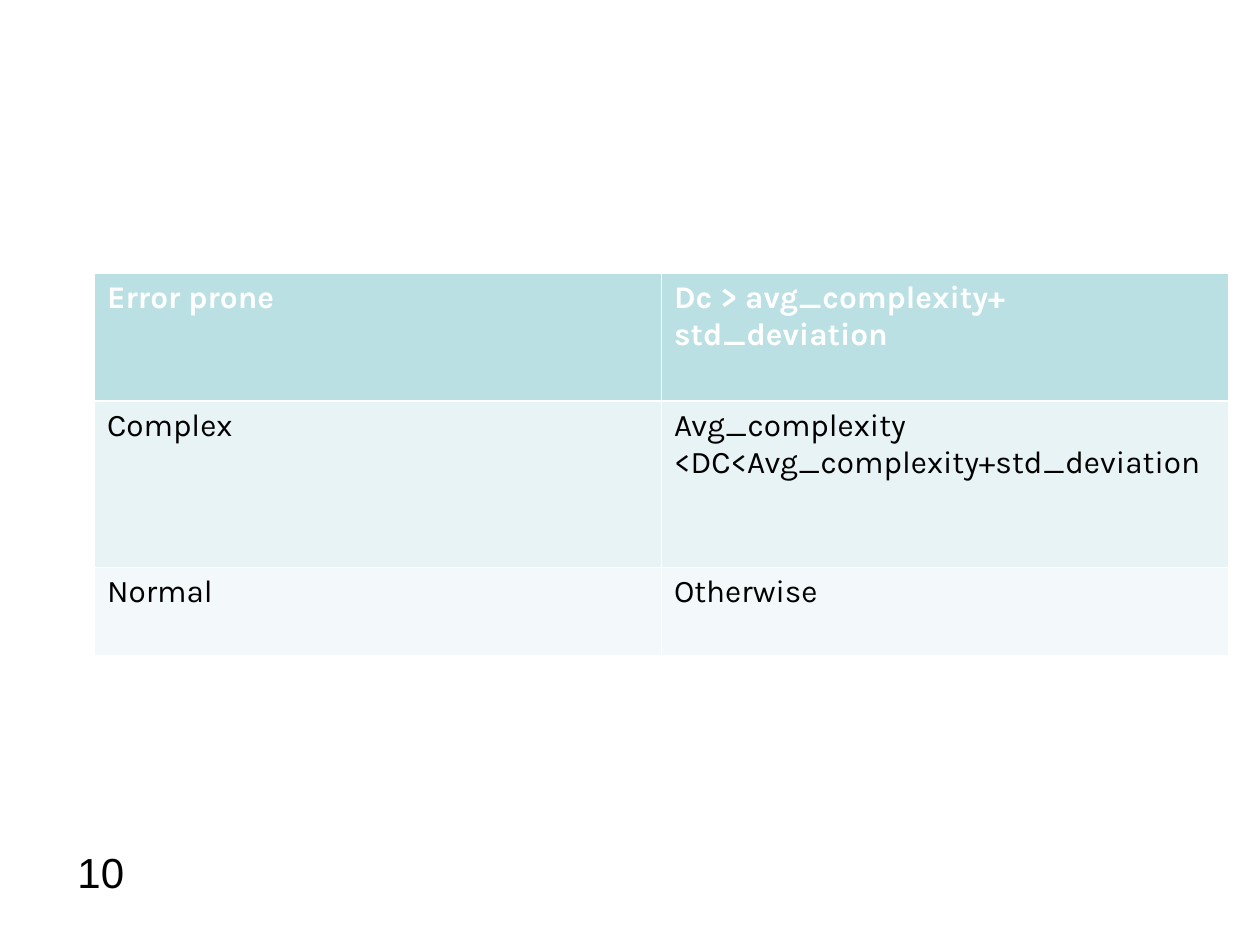
from dataclasses import dataclass

from lxml.etree import SubElement
from pptx import Presentation
from pptx.dml.color import RGBColor as Color
from pptx.enum.text import PP_ALIGN as Align
from pptx.oxml.ns import qn
from pptx.util import Pt


@dataclass(frozen=True)
class Theme:
    heading_fill: str = "BBE0E3"
    complex_fill: str = "E7F3F4"
    normal_fill: str = "F3F9FA"
    light: str = "FFFFFF"
    dark: str = "000000"
    table_font: str = "Karla"
    number_font: str = "Arial"
    table_size: float = 18
    number_size: float = 24
    thin_line: float = 0.45
    thick_line: float = 1.47


@dataclass(frozen=True)
class Category:
    name: str
    rule: str
    height: float
    fill: str
    color: str
    bold: bool = False
    top_line: float = Theme.thin_line
    bottom_line: float = Theme.thin_line


THEME = Theme()
COLUMN_WIDTH = 324
CATEGORIES = [
    Category("Error prone", "Dc > avg_complexity+ std_deviation", 72.7,
             THEME.heading_fill, THEME.light, bold=True,
             bottom_line=THEME.thick_line),
    Category("Complex", "Avg_complexity <DC<Avg_complexity+std_deviation", 95,
             THEME.complex_fill, THEME.dark, top_line=THEME.thick_line),
    Category("Normal", "Otherwise", 50.4, THEME.normal_fill, THEME.dark),
]


def write_text(frame, text: str, *, font: str, size: float, color: str,
               bold: bool = False, align=Align.LEFT) -> None:
    frame.word_wrap = True
    para = frame.paragraphs[0]
    para.alignment = align
    span = para.add_run()
    span.text = text
    span.font.name = font
    span.font.size = Pt(size)
    span.font.bold = bold
    span.font.color.rgb = Color.from_string(color)


def add_borders(cell, top: float, bottom: float) -> None:
    """Draw the cell's borders; call before filling, as lines precede the fill."""
    properties = cell._tc.get_or_add_tcPr()
    widths = {"L": THEME.thin_line, "R": THEME.thin_line, "T": top, "B": bottom}
    for side, width in widths.items():
        line = SubElement(properties, qn(f"a:ln{side}"), w=str(Pt(width)))
        fill = SubElement(line, qn("a:solidFill"))
        SubElement(fill, qn("a:srgbClr"), val=THEME.light)


def add_category_table(page, categories: list[Category], left: float,
                       top: float) -> None:
    height = sum(category.height for category in categories)
    table = page.shapes.add_table(len(categories), 2, Pt(left), Pt(top),
                                  Pt(2 * COLUMN_WIDTH), Pt(height)).table
    for row, category in zip(table.rows, categories):
        row.height = Pt(category.height)
        for cell, text in zip(row.cells, (category.name, category.rule)):
            add_borders(cell, category.top_line, category.bottom_line)
            cell.fill.solid()
            cell.fill.fore_color.rgb = Color.from_string(category.fill)
            write_text(cell.text_frame, text, font=THEME.table_font,
                       size=THEME.table_size, color=category.color,
                       bold=category.bold)


def add_page_number(page, number: str) -> None:
    box = page.shapes.add_textbox(Pt(18), Pt(480), Pt(60), Pt(36))
    write_text(box.text_frame, number, font=THEME.number_font,
               size=THEME.number_size, color=THEME.dark, align=Align.RIGHT)


def main() -> None:
    deck = Presentation()
    deck.slide_width, deck.slide_height = Pt(720), Pt(540)
    page = deck.slides.add_slide(deck.slide_layouts[6])
    add_page_number(page, "10")
    add_category_table(page, CATEGORIES, left=54, top=156.4)
    deck.save("out.pptx")


if __name__ == "__main__":
    main()
